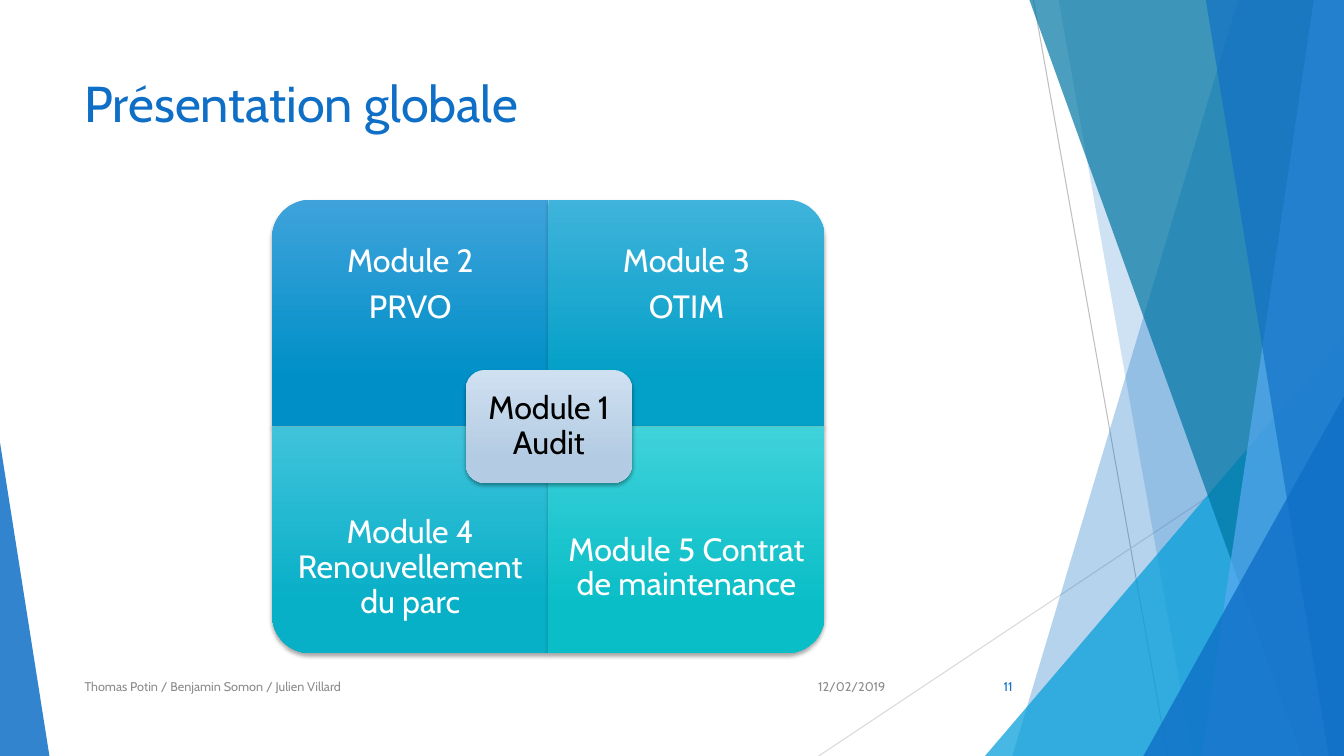
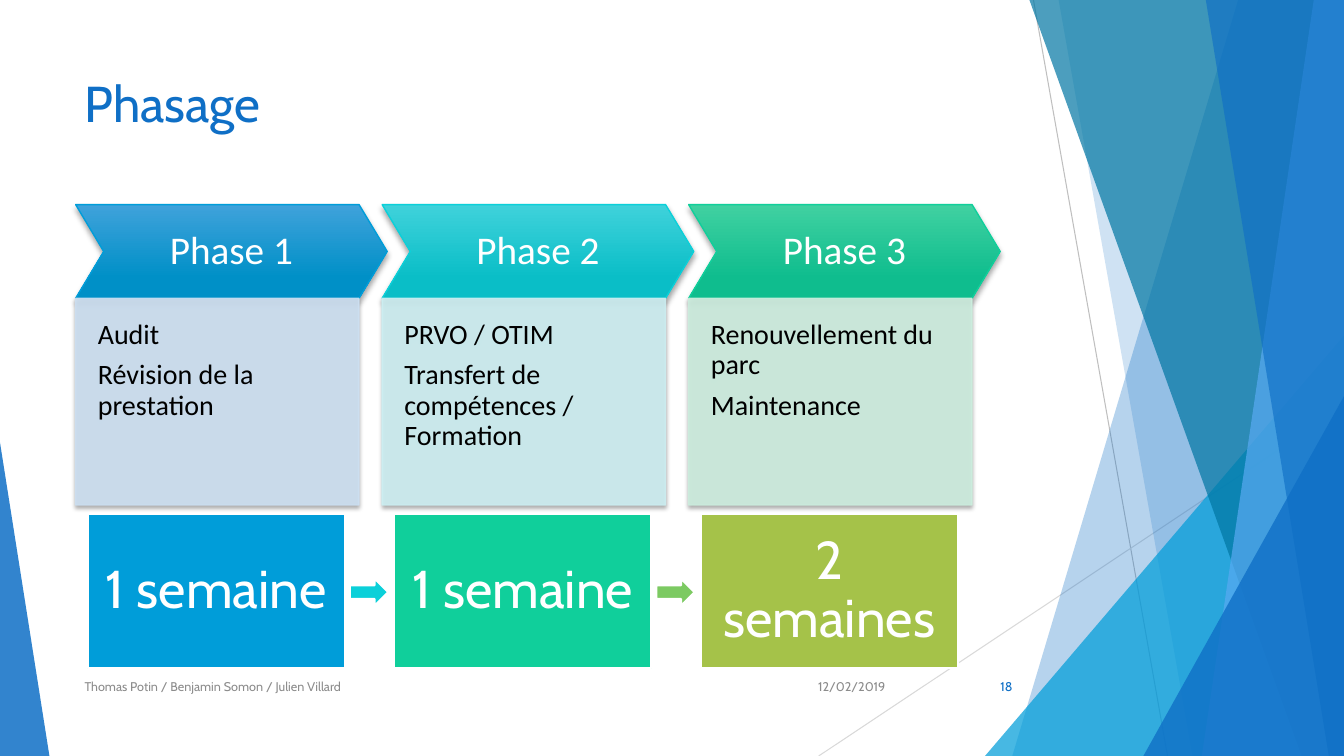
"""Build two training slides: the module overview and the phase plan."""
from math import cos, pi, sin

from lxml import etree
from pptx import Presentation
from pptx import util as u
from pptx.dml.color import RGBColor
from pptx.enum import shapes, text
from pptx.oxml.ns import qn

Inches, Pt = u.Inches, u.Pt
PRESET, ALIGN, ANCHOR = shapes.MSO_SHAPE, text.PP_ALIGN, text.MSO_ANCHOR

WIDTH, HEIGHT = 13.33, 7.5
FONT, PHASE_FONT = "Cabin", "Calibri"
BLUE, SKY, PETROL, PALE = "0F6FC6", "009DD9", "0076A3", "59AAF2"
WHITE, BLACK, GREY = "FFFFFF", "000000", "8C8C8C"
AUTHORS, DATE = "Thomas Potin / Benjamin Somon / Julien Villard", "12/02/2019"
COLUMN_PITCH = 3.04

QUADRANTS = [
    (-1, -1, ["Module 2", "PRVO"], ("3FA2DB", "0090C7")),
    (1, -1, ["Module 3", "OTIM"], ("3FB3DB", "03A0C7")),
    (-1, 1, ["Module 4 Renouvellement du parc"], ("3FC3DB", "07AFC7")),
    (1, 1, ["Module 5 Contrat de maintenance"], ("3FD2DB", "0ABEC7")),
]
PHASES = [
    ("Phase 1", ["Audit", "Révision de la prestation"],
     ("3FA2DB", "0090C7"), "009DD9", "CCDFF1"),
    ("Phase 2", ["PRVO / OTIM", "Transfert de compétences / Formation"],
     ("3FD2DB", "0ABEC7"), "0BD0D9", "CCEEF1"),
    ("Phase 3", ["Renouvellement du parc", "Maintenance"],
     ("40D1A1", "0FBD8E"), "10CF9B", "CCEDDE"),
]
DURATIONS = [("1 semaine", "009DD9"), ("1 semaine", "10CF9B"), ("2 semaines", "A5C249")]
ARROW_COLORS = ["0BD0D9", "7CCA62"]


def rgb(color):
    """Turn a hex string into a colour."""
    return RGBColor.from_string(color)


def box(left, top, width, height):
    """Convert a box given in inches."""
    return [Inches(value) for value in (left, top, width, height)]


def style(shape, fill, line=None, line_width=1, opacity=100):
    """Set a flat fill or a pair of gradient colours, the outline and opacity."""
    shape.shadow.inherit = False
    if isinstance(fill, tuple):
        shape.fill.gradient()
        shape.fill.gradient_angle = 270
        for stop, color, position in zip(shape.fill.gradient_stops, fill, (0, 0.78)):
            stop.color.rgb = rgb(color)
            stop.position = position
    else:
        shape.fill.solid()
        shape.fill.fore_color.rgb = rgb(fill)
    if line:
        shape.line.color.rgb = rgb(line)
        shape.line.width = Pt(line_width)
    else:
        shape.line.fill.background()
    if opacity < 100:
        for color in shape.element.spPr.iter(qn("a:srgbClr")):
            etree.SubElement(color, qn("a:alpha"), val=str(opacity * 1000))


def add_shadow(shape, blur=3, distance=2):
    """Cast a soft shadow below a shape."""
    effects = shape.element.spPr.find(qn("a:effectLst"))
    shadow = etree.SubElement(
        effects, qn("a:outerShdw"), blurRad=str(Pt(blur)), dist=str(Pt(distance)),
        dir="5400000", algn="ctr", rotWithShape="0")
    color = etree.SubElement(shadow, qn("a:srgbClr"), val=BLACK)
    etree.SubElement(color, qn("a:alpha"), val="35000")


def write(shape, lines, size, color, font=FONT, align=ALIGN.CENTER,
          anchor=ANCHOR.MIDDLE, margins=(0.1, 0.05, 0.1, 0.05), spacing=0.9):
    """Write one paragraph per line; margins run left, top, right, bottom."""
    frame = shape.text_frame
    frame.word_wrap = True
    frame.vertical_anchor = anchor
    (frame.margin_left, frame.margin_top,
     frame.margin_right, frame.margin_bottom) = box(*margins)
    for index, line in enumerate(lines):
        paragraph = frame.add_paragraph() if index else frame.paragraphs[0]
        paragraph.alignment = align
        paragraph.line_spacing = spacing
        paragraph.space_after = Pt(round(size * 0.35))
        run = paragraph.add_run()
        run.text = line
        run.font.size = Pt(size)
        run.font.name = font
        run.font.color.rgb = rgb(color)


def add_preset(slide, kind, area, fill, adjustments=(), **options):
    """Add a styled preset shape."""
    shape = slide.shapes.add_shape(kind, *box(*area))
    for index, value in enumerate(adjustments):
        shape.adjustments[index] = value
    style(shape, fill, **options)
    return shape


def add_label(slide, area, line, size, color, align=ALIGN.LEFT, anchor=ANCHOR.MIDDLE):
    """Add a one-line text box."""
    label = slide.shapes.add_textbox(*box(*area))
    write(label, [line], size, color, align=align, anchor=anchor, spacing=1.0)


def add_polygon(slide, points, fill, **options):
    """Add a closed outline through points given in inches."""
    corners = [(Inches(x), Inches(y)) for x, y in points]
    builder = slide.shapes.build_freeform(*corners[0])
    builder.add_line_segments(corners[1:], close=True)
    shape = builder.convert_to_shape()
    style(shape, fill, **options)
    return shape


def add_line(slide, start, end, color):
    """Add a thin straight line."""
    line = slide.shapes.add_connector(
        shapes.MSO_CONNECTOR.STRAIGHT, *box(*start, *end))
    line.line.color.rgb = rgb(color)
    line.line.width = Pt(0.75)
    etree.SubElement(line.element.spPr, qn("a:effectLst"))


def add_band(slide, top_left, bottom_left, color, opacity):
    """Add a full-height facet that reaches the right edge."""
    points = [(top_left, 0), (WIDTH, 0), (WIDTH, HEIGHT), (bottom_left, HEIGHT)]
    add_polygon(slide, points, color, opacity=opacity)


def add_corner(slide, left, width, height, apex, color, opacity):
    """Add a right triangle that stands on the bottom edge."""
    add_preset(slide, PRESET.ISOSCELES_TRIANGLE, (left, HEIGHT - height, width, height),
               color, [apex], opacity=opacity)


def decorate(slide):
    """Draw the facets at both edges."""
    add_line(slide, (10.25, 0), (11.58, HEIGHT), "BFBFBF")
    add_line(slide, (WIDTH, 4.03), (8.12, HEIGHT), "D9D9D9")
    add_band(slide, 12.28, 10.04, BLUE, 30)
    add_band(slide, 10.5, 11.83, BLUE, 20)
    add_corner(slide, 9.77, 3.56, 4.17, 1, SKY, 72)
    add_band(slide, 10.21, 12.91, PETROL, 70)
    add_band(slide, 13.03, 11.92, PALE, 70)
    add_band(slide, 11.96, 13.18, BLUE, 65)
    add_corner(slide, 11.34, 1.99, 3.57, 1, BLUE, 80)
    add_corner(slide, 0, 0.49, 3.11, 0, BLUE, 85)


def start_slide(presentation, title, number):
    """Add a slide with facets, title and footer."""
    slide = presentation.slides.add_slide(presentation.slide_layouts[6])
    decorate(slide)
    add_label(slide, (0.74, 0.67, 9.4, 1.44), title, 36, BLUE, anchor=ANCHOR.TOP)
    add_label(slide, (0.74, 6.61, 6.89, 0.4), AUTHORS, 9, GREY)
    add_label(slide, (7.88, 6.61, 1, 0.4), DATE, 9, GREY, ALIGN.RIGHT)
    add_label(slide, (9.39, 6.61, 0.75, 0.4), number, 9, BLUE, ALIGN.RIGHT)
    return slide


def add_quadrant(slide, side, level, lines, colors):
    """Add a matrix cell rounded at its outer corner."""
    center_x, center_y, width, height, radius = 5.44, 4.23, 2.74, 2.25, 0.38
    angles = [step * pi / 32 for step in range(17)]
    offsets = [(0, 0), (width, 0)]
    offsets += [(width - radius + radius * cos(angle), height - radius + radius * sin(angle))
                for angle in angles]
    offsets.append((0, height))
    points = [(center_x + side * x, center_y + level * y) for x, y in offsets]
    cell = add_polygon(slide, points, colors)
    add_shadow(cell)
    inner = 0.18 + height / 4
    top, bottom = (0.18, inner) if level < 0 else (inner, 0.18)
    write(cell, lines, 23, WHITE, margins=(0.18, top, 0.18, bottom))


def add_phase(slide, left, name, tasks, colors, outline, tint):
    """Add a phase chevron above its list of tasks."""
    chevron = add_preset(slide, PRESET.CHEVRON, (left, 2.03, 3.09, 0.93), colors, [0.3],
                         line=outline)
    add_shadow(chevron, 4, 3)
    write(chevron, [name], 28, WHITE, PHASE_FONT, margins=(0.11,) * 4)
    panel = add_preset(slide, PRESET.RECTANGLE, (left, 2.96, 2.81, 2.05), tint,
                       line=tint, opacity=90)
    add_shadow(panel)
    write(panel, tasks, 20, BLACK, PHASE_FONT, ALIGN.LEFT, ANCHOR.TOP,
          (0.22, 0.22, 0.22, 0.44))


def build_overview(presentation):
    """Build the matrix of modules around the audit."""
    slide = start_slide(presentation, "Présentation globale", "11")
    for quadrant in QUADRANTS:
        add_quadrant(slide, *quadrant)
    audit = add_preset(slide, PRESET.ROUNDED_RECTANGLE, (4.62, 3.67, 1.65, 1.12),
                       ("CFE0F1", "B4CCE3"))
    add_shadow(audit)
    write(audit, ["Module 1 Audit"], 23, BLACK, margins=(0.1,) * 4)


def build_phases(presentation):
    """Build the phases and their durations."""
    slide = start_slide(presentation, "Phasage", "18")
    for index, phase in enumerate(PHASES):
        add_phase(slide, 0.75 + COLUMN_PITCH * index, *phase)
    for index, (duration, color) in enumerate(DURATIONS):
        left = 0.87 + COLUMN_PITCH * index
        block = add_preset(slide, PRESET.RECTANGLE, (left, 5.1, 2.55, 1.53), color,
                           line=WHITE, line_width=1.5)
        write(block, [duration], 38, WHITE, margins=(0.17,) * 4)
    for index, color in enumerate(ARROW_COLORS):
        add_preset(slide, PRESET.RIGHT_ARROW,
                   (3.47 + COLUMN_PITCH * index, 5.74, 0.38, 0.27), color,
                   line=WHITE, line_width=1.5)


def main():
    """Build and save the presentation."""
    presentation = Presentation()
    presentation.slide_width = Inches(WIDTH)
    presentation.slide_height = Inches(HEIGHT)
    build_overview(presentation)
    build_phases(presentation)
    presentation.save("out.pptx")


if __name__ == "__main__":
    main()
